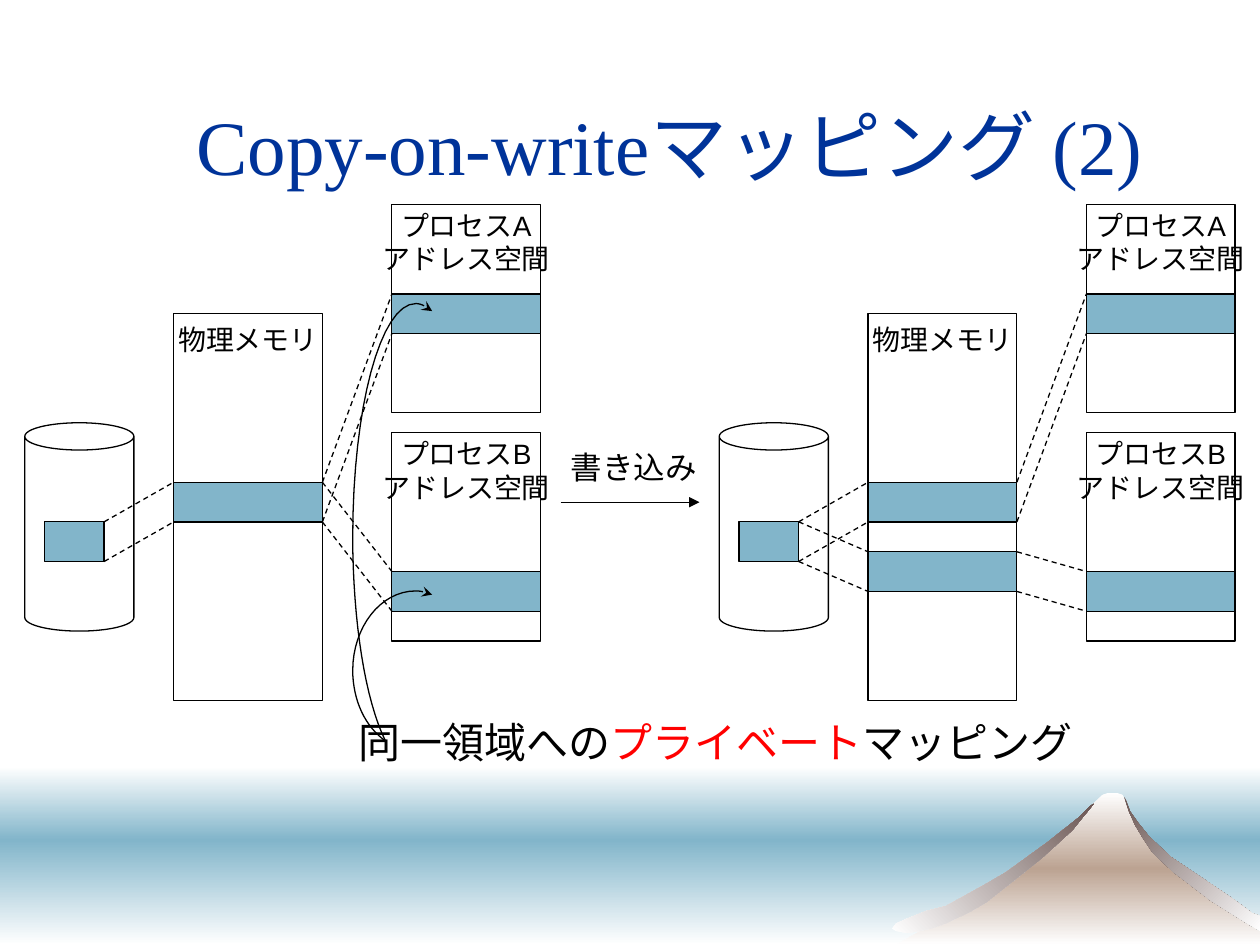
from copy import deepcopy

from lxml.etree import SubElement as Sub
from pptx import Presentation
from pptx.dml.color import RGBColor as RGB
from pptx.enum.dml import MSO_LINE_DASH_STYLE as Dash
from pptx.enum.shapes import MSO_CONNECTOR as Conn, MSO_SHAPE as Kind
from pptx.enum.text import MSO_ANCHOR as Anchor, PP_ALIGN as Align
from pptx.oxml.ns import qn
from pptx.util import Pt

HEX = {"ink": "000000", "paper": "FFFFFF", "sea": "82B5CA", "title": "003399",
       "red": "FF0000", "earth": "BCA392", "rock": "6B5653"}

SHIFT = 396.85                      # from the left state to the right one
DISK_X, FILE_X, MEM_X, PROC_X = 14.17, 25.51, 99.21, 223.94
DISK_W, FILE_W, COL_W, BAND_H, PROC_H = 62.36, 34.02, 85.04, 22.68, 119.06
FILE_Y, MEM_Y, COPY_Y = 298.2, 275.6, 315.3
PROCS = [("A", 116.9, 168), ("B", 247.3, 326.6)]    # name, top, band top

PEAK = [(512, 540), (569, 507.6), (605, 479.5), (625.7, 458.6), (630, 454.3),
        (633.6, 452.9), (637.9, 452.9), (641.5, 454.3), (650.2, 473),
        (663.8, 489.6), (697, 512.6), (720, 527.8), (720, 540)]
EAST = [(658.8, 487.4), (670.3, 498.2), (682.6, 507.6), (692, 514.8),
        (712.8, 527.8), (720, 532), (720, 523.4), (715.7, 522),
        (704.9, 514), (699.8, 510.5), (668.9, 489.6), (656.6, 478),
        (650.9, 470.9), (645.8, 463.7), (643.7, 457.9), (642.2, 455),
        (645.1, 463.7), (648.7, 471.6), (653, 478.8)]
WEST = [(599, 481), (575.3, 498.2), (563, 505.4), (540.7, 517.7),
        (529.2, 520.6), (518.4, 524.9), (511.9, 527.8), (509.8, 530.6),
        (512, 532), (518.4, 533.2), (525.6, 532), (532, 530.6), (540, 527.8),
        (553.7, 521.3), (563.8, 515.5), (595.4, 490.3), (612.7, 474.5),
        (622, 463), (625, 459.4), (622.8, 460.8), (616.3, 467.3)]

BEND_X = [247, 243.4, 240.5, 237.6, 217.4, 201.6, 201.6, 201.6, 208.8, 220.3]
BENDS = [
    [339.8, 338.4, 337.7, 337.7, 337.7, 358.6, 383, 400.3, 415.4, 423.4],
    [177.8, 175, 173.5, 173.5, 173.5, 233.3, 306.7, 355, 400.3, 423.4],
]


def tint(name):
    return RGB.from_string(HEX[name])


def fmt(item, **vals):
    for key, val in vals.items():
        setattr(item, key, val)


def fade(shape, names, angle):
    """Fill with evenly spaced colours; the angle runs clockwise."""
    shape.shadow.inherit = False
    shape.line.fill.background()
    fill = shape.fill
    fill.gradient()
    stops = shape._element.spPr.find(".//" + qn("a:gsLst"))
    for _ in names[2:]:
        stops.append(deepcopy(stops[-1]))
    for i, (stop, name) in enumerate(zip(fill.gradient_stops, names)):
        stop.position = i / (len(names) - 1)
        stop.color.rgb = tint(name)
    fill.gradient_angle = 360 - angle


def stroke(line):
    fmt(line, width=Pt(0.75))
    line.color.rgb = tint("ink")


def tip(line, end, kind):
    Sub(line._get_or_add_ln(), qn("a:" + end), type=kind)


def write(shape, rows, size, font="Arial", align=Align.LEFT,
          anchor=Anchor.TOP, top=3.6, wrap=False):
    """Each row is a list of (text, colour) runs."""
    frame = shape.text_frame
    fmt(frame, word_wrap=wrap, vertical_anchor=anchor, margin_top=Pt(top))
    for i, row in enumerate(rows):
        para = frame.add_paragraph() if i else frame.paragraphs[0]
        para.alignment = align
        for text, name in row:
            run = para.add_run()
            run.text = text
            fmt(run.font, size=Pt(size), name=font)
            run.font.color.rgb = tint(name)


def label(slide, box, row, size, **opts):
    write(slide.shapes.add_textbox(*map(Pt, box)), [row], size,
          wrap=True, **opts)


def block(slide, x, y, w, h, fill="paper", kind=Kind.RECTANGLE):
    shape = slide.shapes.add_shape(kind, *map(Pt, (x, y, w, h)))
    shape.shadow.inherit = False
    shape.fill.solid()
    shape.fill.fore_color.rgb = tint(fill)
    stroke(shape.line)
    return shape


def band(slide, x, y, w=COL_W):
    block(slide, x, y, w, BAND_H, "sea")


def space(slide, x, y, h, lines, top):
    """A memory area with its name at the top."""
    write(block(slide, x, y, COL_W, h), [[(text, "ink")] for text in lines],
          16, align=Align.CENTER, top=top)


def rule(slide, *ends):
    wire = slide.shapes.add_connector(Conn.STRAIGHT, *map(Pt, ends))
    Sub(wire._element.spPr, qn("a:effectLst"))
    stroke(wire.line)
    return wire.line


def link(slide, x1, y1, x2, y2):
    """Dashed lines joining the edges of two bands."""
    for dy in (0, BAND_H):
        rule(slide, x1, y1 + dy, x2, y2 + dy).dash_style = Dash.DASH


def outline(slide, dots, close):
    dots = [(Pt(x), Pt(y)) for x, y in dots]
    form = slide.shapes.build_freeform(*dots[0])
    form.add_line_segments(dots[1:], close=close)
    shape = form.convert_to_shape()
    shape.shadow.inherit = False
    return shape


def bend(slide, dots, steps=16):
    """A chain of cubic curves with an arrowhead at its start."""
    trail = dots[:1]
    for i in range(0, len(dots) - 1, 3):
        for n in range(1, steps + 1):
            t = n / steps
            parts = ((1 - t) ** 3, 3 * t * (1 - t) ** 2,
                     3 * t * t * (1 - t), t ** 3)
            trail.append(tuple(sum(p * d[k] for p, d in
                                   zip(parts, dots[i:i + 4])) for k in (0, 1)))
    shape = outline(slide, trail, False)
    shape.fill.background()
    stroke(shape.line)
    tip(shape.line, "headEnd", "stealth")


def scene(slide):
    for y, h, names in ((438, 42, ("paper", "sea")),
                        (480, 60, ("sea", "paper"))):
        strip = slide.shapes.add_shape(Kind.RECTANGLE, 0, Pt(y), Pt(720), Pt(h))
        fade(strip, names, 90)
    for dots, names, angle in ((PEAK, ("paper", "earth", "paper"), 90),
                               (EAST, ("rock", "paper"), 45),
                               (WEST, ("paper", "rock"), 315)):
        fade(outline(slide, dots, True), names, angle)


def state(slide, dx, pages):
    """Disk, memory and processes; pages holds the memory band of each."""
    disk, file, mem, proc = (x + dx for x in (DISK_X, FILE_X, MEM_X, PROC_X))
    for name, y, page in PROCS:
        space(slide, proc, y, PROC_H, ["プロセス" + name, "アドレス空間"], 2.2)
        band(slide, proc, page)
    space(slide, mem, 179.2, 221.1, ["物理メモリ"], 5)
    block(slide, disk, 241.6, DISK_W, PROC_H, kind=Kind.CAN)
    band(slide, file, FILE_Y, FILE_W)
    for y in sorted(set(pages)):
        band(slide, mem, y)
        link(slide, file + FILE_W, FILE_Y, mem, y)
    for y, (_, _, page) in zip(pages, PROCS):
        link(slide, mem + COL_W, y, proc, page)


def main():
    deck = Presentation()
    fmt(deck, slide_width=Pt(720), slide_height=Pt(540))
    slide = deck.slides.add_slide(deck.slide_layouts[6])
    scene(slide)
    label(slide, (76.6, 37.4, 612, 90),
          [("Copy-on-writeマッピング (2)", "title")], 44,
          font="Times New Roman", align=Align.CENTER, anchor=Anchor.MIDDLE)
    state(slide, 0, (MEM_Y, MEM_Y))
    state(slide, SHIFT, (MEM_Y, COPY_Y))
    label(slide, (197.6, 406, 432, 36),
          [("同一領域への", "ink"), ("プライベート", "red"),
           ("マッピング", "ink")], 24)
    label(slide, (319, 252.7, 92, 28.8), [("書き込み", "ink")], 18)
    tip(rule(slide, 320.3, 287, 399.7, 287), "tailEnd", "triangle")
    for ys in BENDS:
        bend(slide, list(zip(BEND_X, ys)))
    deck.save("out.pptx")


if __name__ == "__main__":
    main()
